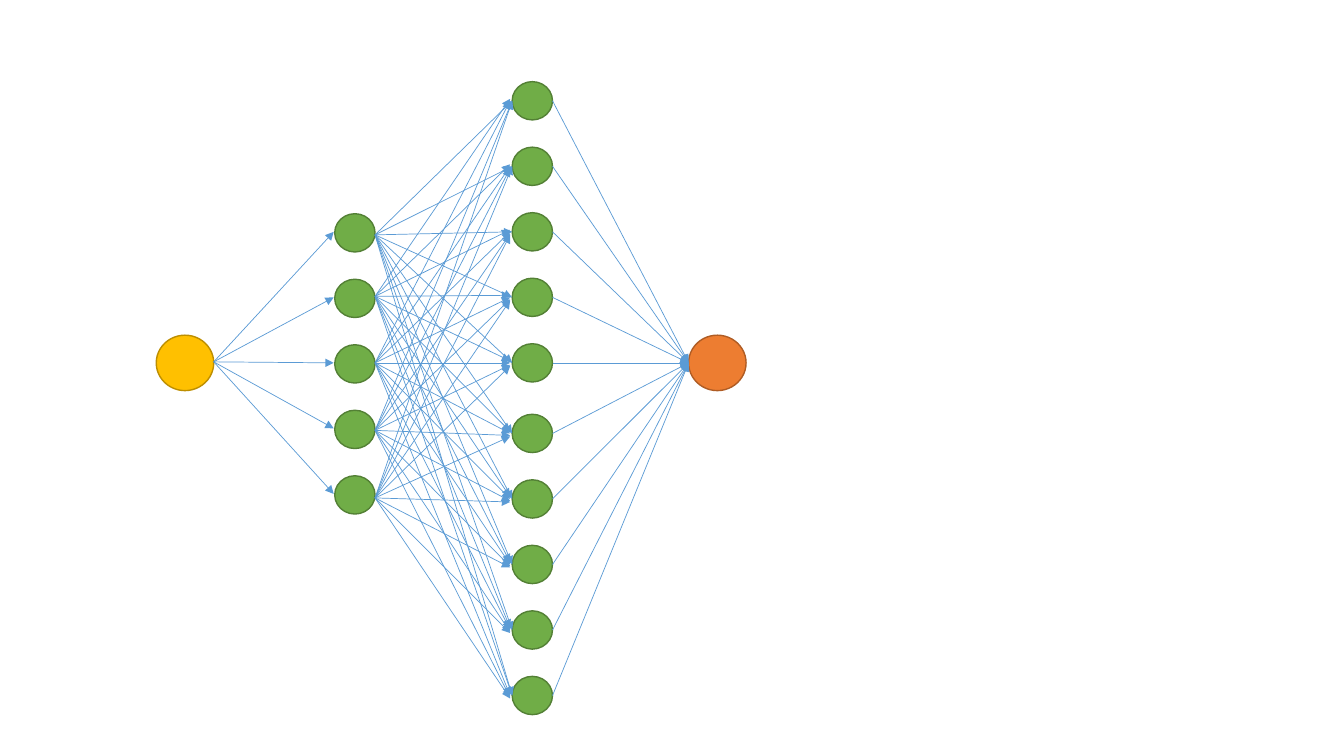
from dataclasses import dataclass

import lxml.etree
import pptx
import pptx.dml.color
import pptx.enum.shapes
import pptx.oxml.ns
import pptx.slide
import pptx.util

Inches = pptx.util.Inches
Pt = pptx.util.Pt
RGBColor = pptx.dml.color.RGBColor
qn = pptx.oxml.ns.qn

GOLD, DARK_GOLD = RGBColor(0xFF, 0xC0, 0x00), RGBColor(0xBD, 0x8E, 0x00)
GREEN, DARK_GREEN = RGBColor(0x70, 0xAD, 0x47), RGBColor(0x53, 0x80, 0x35)
ORANGE, DARK_ORANGE = RGBColor(0xED, 0x7D, 0x31), RGBColor(0xAF, 0x5C, 0x24)
BLUE = RGBColor(0x5B, 0x9B, 0xD5)

NODE_STEP = 0.65
ARROW_HEAD = {"type": "triangle"}


@dataclass(frozen=True)
class Layer:
    left: float
    width: float
    height: float
    centres: list[float]
    fill: RGBColor
    outline: RGBColor

    @property
    def right(self) -> float:
        return self.left + self.width


@dataclass(frozen=True)
class Fan:
    """Arrows from one first-layer neuron to the whole second layer."""
    start: float
    shift: float = 0
    direct: tuple[int, ...] = ()  # targets met exactly at the circle's edge


def format_line(line, color: RGBColor, width: float) -> None:
    line.color.rgb = color
    for name, value in {"width": Pt(width)}.items():
        setattr(line, name, value)


def draw_layer(slide: pptx.slide.Slide, layer: Layer) -> None:
    for centre in layer.centres:
        neuron = slide.shapes.add_shape(
            pptx.enum.shapes.MSO_SHAPE.OVAL,
            Inches(layer.left), Inches(centre - layer.height / 2),
            Inches(layer.width), Inches(layer.height))
        neuron.shadow.inherit = False
        neuron.fill.solid()
        neuron.fill.fore_color.rgb = layer.fill
        format_line(neuron.line, layer.outline, 1)


def draw_arrow(slide: pptx.slide.Slide, x1: float, y1: float,
               x2: float, y2: float) -> None:
    arrow = slide.shapes.add_connector(
        pptx.enum.shapes.MSO_CONNECTOR.STRAIGHT,
        Inches(x1), Inches(y1), Inches(x2), Inches(y2))
    format_line(arrow.line, BLUE, 0.5)
    properties = arrow._element.spPr
    lxml.etree.SubElement(properties.find(qn("a:ln")), qn("a:tailEnd"), ARROW_HEAD)
    lxml.etree.SubElement(properties, qn("a:effectLst"))


# Layers; the lower half of the second one sits slightly further down
first_centres = [2.31 + NODE_STEP * i for i in range(5)]
second_centres = [1 + NODE_STEP * i + (0.05 if i >= 5 else 0) for i in range(10)]

INPUT = Layer(1.55, 0.57, 0.55, [3.6], GOLD, DARK_GOLD)
FIRST = Layer(3.32, 0.4, 0.38, first_centres, GREEN, DARK_GREEN)
SECOND = Layer(5.08, 0.4, 0.38, second_centres, GREEN, DARK_GREEN)
OUTPUT = Layer(6.83, 0.57, 0.55, [3.6], ORANGE, DARK_ORANGE)

FANS = [
    Fan(2.33, direct=tuple(range(10))),
    Fan(2.94, shift=-0.02, direct=(9,)),
    Fan(3.6),
    Fan(4.27, shift=0.02, direct=(0,)),
    Fan(4.94, shift=0.03, direct=(0, 1)),
]


def main() -> None:
    presentation = pptx.Presentation()
    for name, value in {"slide_width": 13.33, "slide_height": 7.5}.items():
        setattr(presentation, name, Inches(value))
    slide = presentation.slides.add_slide(presentation.slide_layouts[6])

    # Neurons
    for layer in (INPUT, FIRST, SECOND, OUTPUT):
        draw_layer(slide, layer)

    # Input to first layer
    for centre in FIRST.centres:
        draw_arrow(slide, INPUT.right, 3.59, FIRST.left - 0.01, centre - 0.01)

    # First to second layer
    for fan in FANS:
        for target, centre in enumerate(SECOND.centres):
            if target in fan.direct:
                end_x, end_y = SECOND.left, centre
            else:
                end_x, end_y = SECOND.left - 0.02, centre + fan.shift
            draw_arrow(slide, FIRST.right, fan.start, end_x, end_y)

    # Second layer to output
    for centre in SECOND.centres:
        draw_arrow(slide, SECOND.right, centre, OUTPUT.left, OUTPUT.centres[0])

    presentation.save("out.pptx")


if __name__ == "__main__":
    main()
